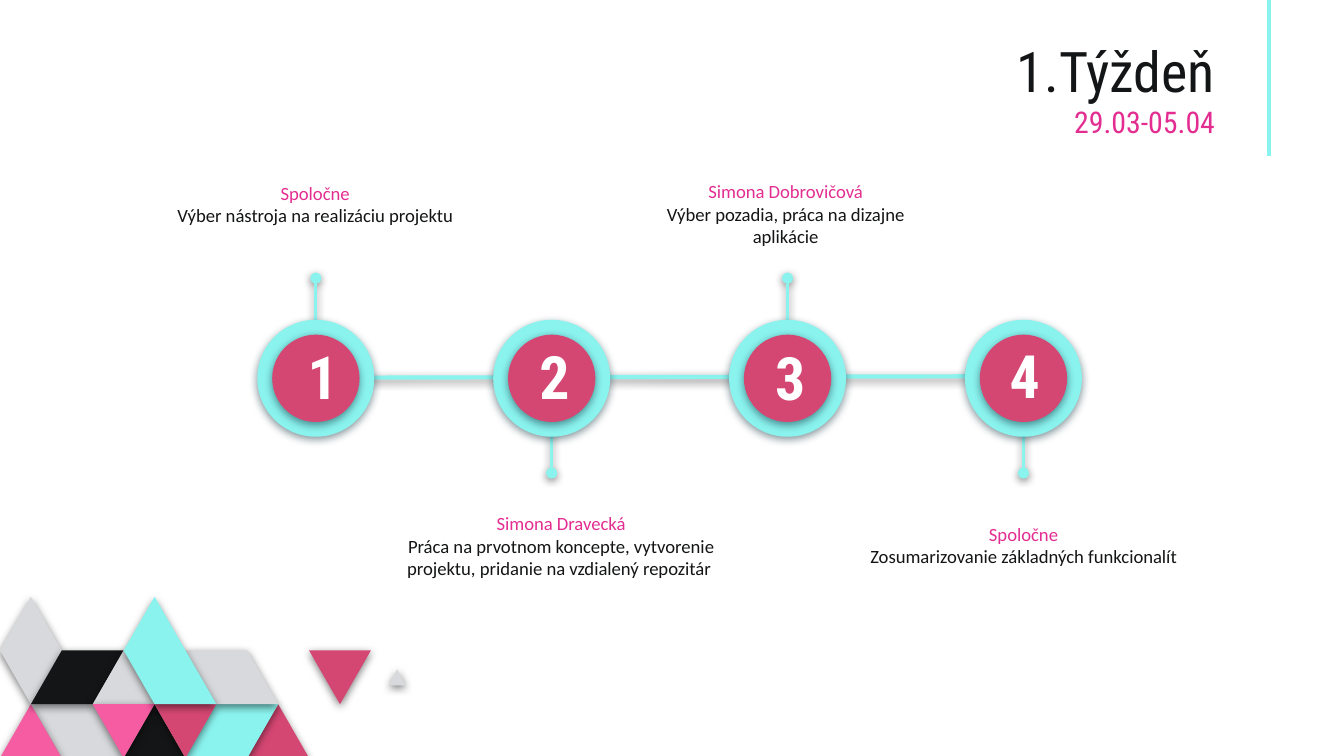
from lxml.etree import SubElement
from pptx import Presentation
from pptx.dml.color import RGBColor
from pptx.enum.shapes import MSO_CONNECTOR, MSO_SHAPE
from pptx.enum.text import MSO_ANCHOR, MSO_AUTO_SIZE, PP_ALIGN
from pptx.oxml.ns import qn
from pptx.util import Inches, Pt

INK, MAGENTA, WHITE = "141516", "E32D91", "FFFFFF"
CYAN, ROSE, PINK, GREY = "8BF3EE", "D54773", "F65CA2", "D8D9DC"
HEAD, BODY = "Roboto Condensed", "Calibri"

# Content: heading, text, caption box, digit offset from the circle centre and top
TITLE = ("1.Týždeň", "29.03-05.04")
STEPS = [
    ("Spoločne", "Výber nástroja na realizáciu projektu",
     (1.22, 1.25, 2.25), (-0.16, 2.48)),
    ("Simona Dravecká",
     "Práca na prvotnom koncepte, vytvorenie projektu, pridanie na vzdialený repozitár ",
     (2.81, 3.71, 2.73), (-0.19, 2.48)),
    ("Simona Dobrovičová", "Výber pozadia, práca na dizajne aplikácie",
     (4.72, 1.24, 2.25), (-0.19, 2.49)),
    ("Spoločne", "Zosumarizovanie základných funkcionalít",
     (6.32, 3.79, 2.59), (-0.2, 2.47)),
]

# Mosaic tiles as (column, row) corners on a triangular grid
COL, ROW, MOSAIC_TOP = 0.23, 0.4, 4.44
TILES = [
    (ROSE, [(10, 3), (9, 2), (8, 3)]),
    (CYAN, [(9, 2), (7, 2), (6, 3), (8, 3)]),
    (GREY, [(4, 3), (3, 2), (1, 2), (2, 3)]),
    (PINK, [(2, 3), (1, 2), (0, 3)]),
    (INK, [(6, 3), (5, 2), (4, 3)]),
    (GREY, [(9, 2), (8, 1), (6, 1), (7, 2)]),
    (GREY, [(13.13, 1.65), (12.85, 1.35), (12.57, 1.65)]),
    (ROSE, [(12, 1), (10, 1), (11, 2)]),
    (GREY, [(2, 1), (1, 0), (0, 1), (1, 2)]),
    (INK, [(4, 1), (2, 1), (1, 2), (3, 2)]),
    (GREY, [(5, 2), (4, 1), (3, 2)]),
    (PINK, [(5, 2), (3, 2), (4, 3)]),
    (ROSE, [(7, 2), (5, 2), (6, 3)]),
    (CYAN, [(7, 2), (5, 0), (4, 1), (5, 2)]),
]

# Timeline geometry
FIRST_X, STEP_X, MID_Y = 2.35, 1.755, 2.815
RING, DISC, STEM_UP, STEM_DOWN = 0.87, 0.65, 2.07, 3.52


def rgb(value):
    return RGBColor.from_string(value)


def add_shadow(sp, color=None):
    """Soft shadow straight below, or none without a colour."""
    effects = SubElement(sp._element.spPr, qn("a:effectLst"))
    if color:
        outer = SubElement(effects, qn("a:outerShdw"), blurRad=str(Pt(4.5)),
                           dist=str(Pt(1.5)), dir="5400000", algn="bl", rotWithShape="0")
        clr = SubElement(outer, qn("a:srgbClr"), val=color)
        SubElement(clr, qn("a:alpha"), val="50000")


def paint(sp, color, shadow):
    sp.fill.solid()
    sp.fill.fore_color.rgb = rgb(color)
    sp.line.fill.background()
    add_shadow(sp, shadow)


def add_line(x1, y1, x2, y2, width, shadow=None, dot=False):
    line = slide.shapes.add_connector(
        MSO_CONNECTOR.STRAIGHT, Inches(x1), Inches(y1), Inches(x2), Inches(y2))
    line.line.color.rgb = rgb(CYAN)
    line.line.width = Pt(width)
    if dot:
        SubElement(line.line._get_or_add_ln(), qn("a:tailEnd"), type="oval")
    add_shadow(line, shadow)


def add_disc(x, size, color):
    sp = slide.shapes.add_shape(MSO_SHAPE.OVAL, Inches(x - size / 2),
                                Inches(MID_Y - size / 2), Inches(size), Inches(size))
    paint(sp, color, "0C2E3A")


def add_run(p, text, font, size, color, bold=False):
    r = p.add_run()
    r.text = text
    r.font.name, r.font.size, r.font.bold = font, Pt(size), bold
    r.font.color.rgb = rgb(color)


def add_box(x, y, w, h, inset_y):
    tf = slide.shapes.add_textbox(Inches(x), Inches(y), Inches(w), Inches(h)).text_frame
    tf.word_wrap = True
    tf.margin_left = tf.margin_right = Inches(0.1)
    tf.margin_top = tf.margin_bottom = Inches(inset_y)
    return tf.paragraphs[0]


prs = Presentation()
prs.slide_width = Inches(10)
prs.slide_height = prs.slide_width * 9 // 16
slide = prs.slides.add_slide(prs.slide_layouts[5])

# Mosaic in the lower left corner
for color, corners in TILES:
    points = [(Inches(c * COL), Inches(MOSAIC_TOP + r * ROW)) for c, r in corners]
    builder = slide.shapes.build_freeform(*points[0])
    builder.add_line_segments(points[1:], close=True)
    paint(builder.convert_to_shape(), color, "000000")

# Title and the rule beside it
add_line(9.44, -1.75, 9.44, 1.16, 2.25)
title = slide.shapes.title
title.left, title.top = Inches(0.29), Inches(0.51)
title.width, title.height = Inches(8.85), Inches(0.63)
tf = title.text_frame
tf.auto_size = MSO_AUTO_SIZE.NONE
tf.vertical_anchor = MSO_ANCHOR.BOTTOM
tf.margin_left = tf.margin_right = tf.margin_top = tf.margin_bottom = Inches(0.1)
p = tf.paragraphs[0]
p.alignment = PP_ALIGN.RIGHT
add_run(p, TITLE[0], HEAD, 30, INK)
p.add_line_break()
add_run(p, TITLE[1], HEAD, 16, MAGENTA)

# Timeline: stems alternate up and down
add_line(2.74, 2.81, 7.22, 2.8, 2.25, "000000")
for i, (heading, text, (left, top, width), (dx, digit_top)) in enumerate(STEPS):
    x = FIRST_X + i * STEP_X
    up = i % 2 == 0
    start = MID_Y - DISC / 2 if up else MID_Y + DISC / 2
    add_line(x, start, x, STEM_UP if up else STEM_DOWN, 1.5, "000000", dot=True)
    add_disc(x, RING, CYAN)
    add_disc(x, DISC, ROSE)
    p = add_box(x + dx, digit_top, 0.33, 0.64, 0.05)
    add_run(p, str(i + 1), HEAD, 32, WHITE, bold=True)

    p = add_box(left, top, width, 0.75, 0.1)
    p.alignment = PP_ALIGN.CENTER
    add_run(p, heading, BODY, 10, MAGENTA)
    p.add_line_break()
    add_run(p, text, BODY, 10, INK)

prs.save("out.pptx")
